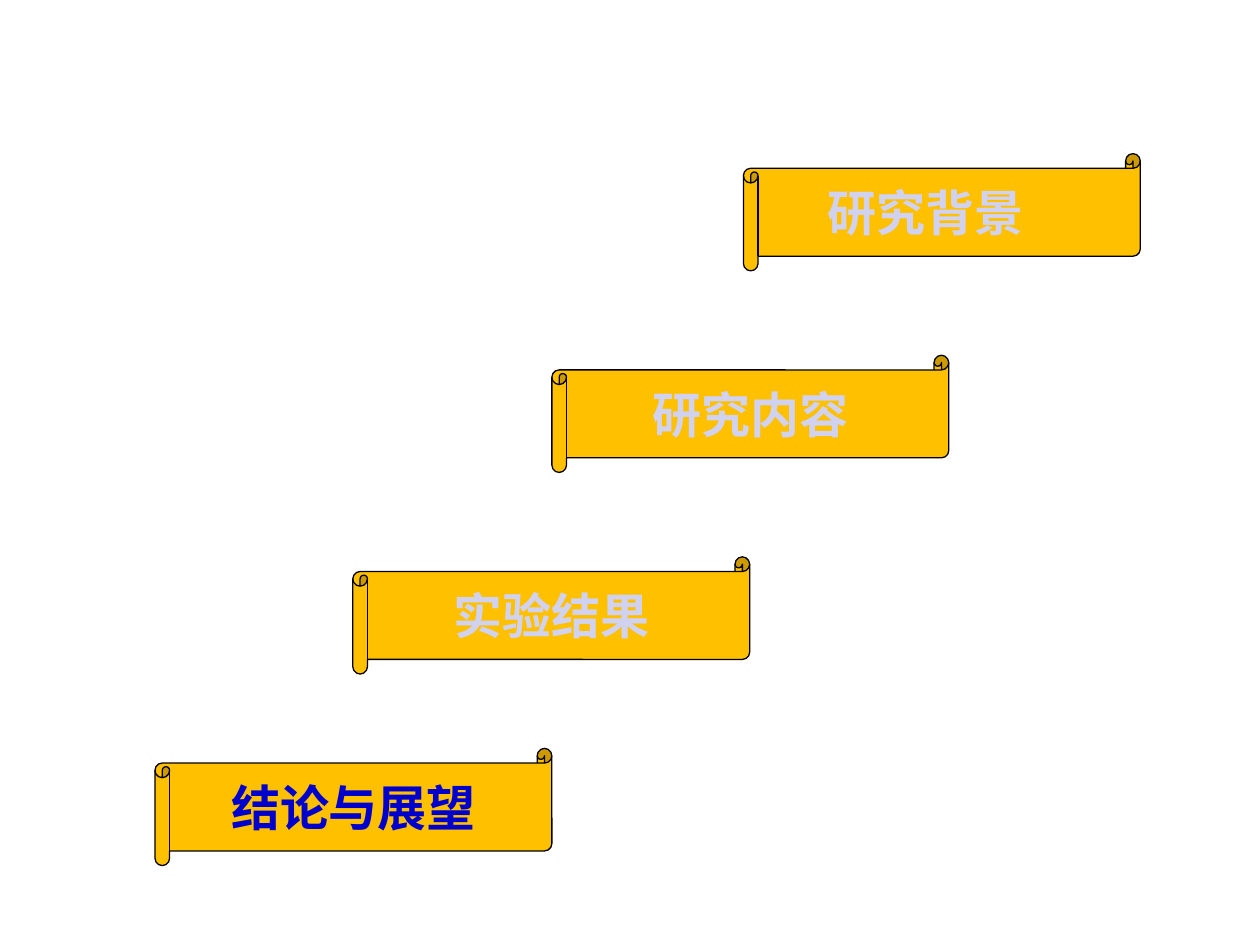
from lxml.etree import SubElement
from pptx import Presentation
from pptx.dml.color import RGBColor
from pptx.enum.shapes import MSO_SHAPE
from pptx.enum.text import MSO_AUTO_SIZE, PP_ALIGN
from pptx.oxml.ns import qn
from pptx.util import Inches, Pt

GOLD = RGBColor(0xFF, 0xC0, 0x00)
BLACK = RGBColor(0x00, 0x00, 0x00)
MUTED = RGBColor(0xD1, 0xD1, 0xF0)
BLUE = RGBColor(0x00, 0x00, 0xCC)

SECTIONS = [
    ("研究背景", 5.9, 1.22, 6.46, 1.77, MUTED),
    ("研究内容", 4.38, 2.82, 5.07, 1.77, MUTED),
    ("实验结果", 2.8, 4.42, 3.49, 1.77, MUTED),
    ("结论与展望", 1.23, 5.94, 1.65, 2.31, BLUE),
]


class AgendaSlide:
    font_name = "Noto Sans CJK SC"
    font_size = Pt(28)

    def __init__(self, presentation):
        self.slide = presentation.slides.add_slide(presentation.slide_layouts[6])

    def scroll(self, left, top):
        shape = self.slide.shapes.add_shape(
            MSO_SHAPE.HORIZONTAL_SCROLL,
            Inches(left), Inches(top), Inches(3.15), Inches(0.93),
        )
        shape.shadow.inherit = False
        shape.fill.solid()
        shape.fill.fore_color.rgb = GOLD
        shape.line.color.rgb = BLACK
        shape.line.width = Pt(0.75)

    def label(self, text, left, top, width, color):
        box = self.slide.shapes.add_textbox(
            Inches(left), Inches(top), Inches(width), Inches(0.57)
        )
        frame = box.text_frame
        frame.word_wrap = color == BLUE
        frame.auto_size = MSO_AUTO_SIZE.SHAPE_TO_FIT_TEXT
        paragraph = frame.paragraphs[0]
        paragraph.text = text
        paragraph.alignment = PP_ALIGN.CENTER
        font = paragraph.font
        font.size = self.font_size
        font.bold = True
        font.color.rgb = color
        font.name = self.font_name
        properties = paragraph._p.pPr.find(qn("a:defRPr"))
        SubElement(properties, qn("a:ea"), typeface=self.font_name)


def main():
    presentation = Presentation()
    presentation.slide_width = Inches(10)
    presentation.slide_height = Inches(7.5)
    agenda = AgendaSlide(presentation)
    for text, left, top, label_left, label_width, color in SECTIONS:
        agenda.scroll(left, top)
        agenda.label(text, label_left, top + 0.18, label_width, color)
    presentation.save("out.pptx")


if __name__ == "__main__":
    main()
